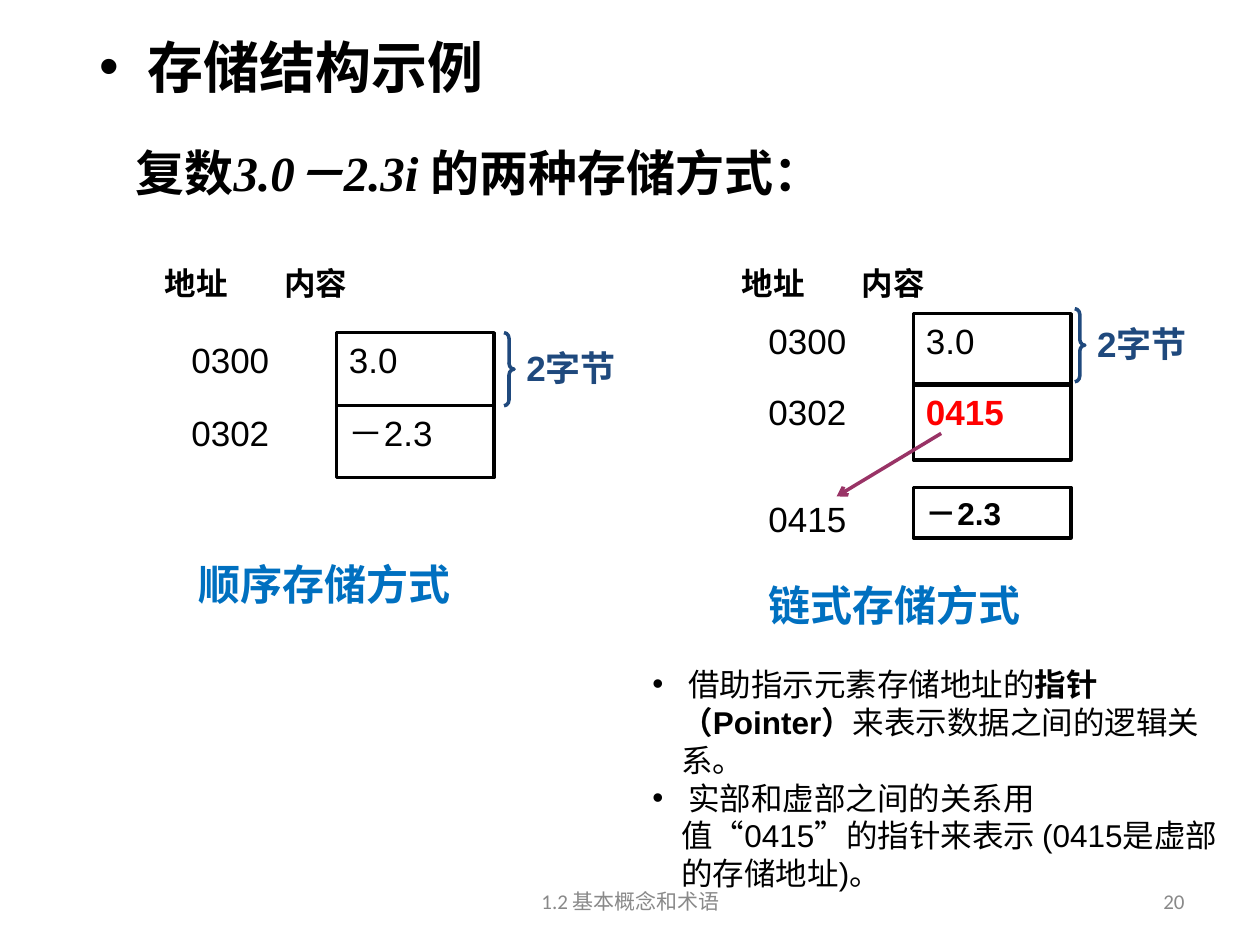
"""Build the slide comparing sequential and linked storage of a complex number."""
from pptx import Presentation
from pptx.dml.color import RGBColor
from pptx.enum.shapes import MSO_CONNECTOR, MSO_SHAPE
from pptx.enum.text import MSO_ANCHOR, MSO_AUTO_SIZE, PP_ALIGN
from pptx.oxml.ns import qn
from pptx.util import Inches, Pt
from lxml.etree import SubElement

BLACK = RGBColor(0x00, 0x00, 0x00)
GREY = RGBColor(0x89, 0x89, 0x89)
RED = RGBColor(0xFF, 0x00, 0x00)
BLUE = RGBColor(0x00, 0x70, 0xC0)
NAVY = RGBColor(0x1F, 0x49, 0x7D)
PLUM = RGBColor(0x99, 0x33, 0x66)
HAN = "Noto Sans CJK SC"


def write(shape, parts, size, color=BLACK, bold=False, font="Arial",
          align=PP_ALIGN.LEFT, anchor=MSO_ANCHOR.TOP):
    """Fill a shape with paragraphs, each a list of (text, bold) runs."""
    frame = shape.text_frame
    frame.word_wrap = True
    frame.auto_size = MSO_AUTO_SIZE.NONE
    frame.vertical_anchor = anchor
    if isinstance(parts, str):
        parts = [[(parts, bold)]]
    for i, runs in enumerate(parts):
        para = frame.add_paragraph() if i else frame.paragraphs[0]
        para.alignment = align
        for text, heavy in runs:
            run = para.add_run()
            run.text = text
            run.font.size = Pt(size)
            run.font.bold = heavy
            run.font.name = font
            run.font.color.rgb = color
            SubElement(run.font._element, qn("a:ea"), typeface=HAN)
    return frame


def bullet(para, indent):
    """Give a paragraph a black round bullet with a hanging indent."""
    props = para._p.get_or_add_pPr()
    props.set("marL", str(Inches(indent)))
    props.set("indent", str(-Inches(indent)))
    SubElement(SubElement(props, qn("a:buClr")), qn("a:srgbClr"), val=str(BLACK))
    SubElement(props, qn("a:buFont"), typeface="Arial")
    SubElement(props, qn("a:buChar"), char="•")


deck = Presentation()
deck.slide_width, deck.slide_height = Inches(10), Inches(7.5)
slide = deck.slides.add_slide(deck.slide_layouts[5])
shapes = slide.shapes

title = shapes.title
title.left, title.top = Inches(0.69), Inches(0.21)
title.width, title.height = Inches(8.79), Inches(0.57)
frame = write(title, "存储结构示例", 32, bold=True, font="Calibri")
bullet(frame.paragraphs[0], 0.38)

box = shapes.add_textbox(Inches(0.98), Inches(1.08), Inches(8.32), Inches(0.57))
intro = [("复数", True), ("3.0－2.3i ", True), ("的两种存储方式：", True)]
frame = write(box, [intro], 28, font=HAN)
value = frame.paragraphs[0].runs[1]
value.font.name = "Times New Roman"
value.font.italic = True

for left in (1.21, 5.79):
    box = shapes.add_textbox(Inches(left), Inches(2.05), Inches(2.7), Inches(0.4))
    para = write(box, "地址\t内容", 18, bold=True).paragraphs[0]
    tabs = SubElement(para._p.get_or_add_pPr(), qn("a:tabLst"))
    SubElement(tabs, qn("a:tab"), pos=str(Inches(0.95)), algn="l")

cells = [
    (1.42, 2.64, 0.58, "0300", "3.0", 20, BLACK, False),
    (1.42, 3.22, 0.57, "0302", "－2.3", 20, BLACK, False),
    (6, 2.49, 0.57, "0300", "3.0", 20, BLACK, False),
    (6, 3.05, 0.6, "0302", "0415", 20, RED, True),
    (6, 3.87, 0.4, "0415", "－2.3", 18, BLACK, True),
]
for left, top, height, address, content, size, color, bold in cells:
    drop = 0.03 if address == "0415" else 0
    box = shapes.add_textbox(Inches(left), Inches(top + drop), Inches(1.25), Inches(height))
    write(box, address, 20)
    cell = shapes.add_shape(MSO_SHAPE.RECTANGLE, Inches(left + 1.25), Inches(top),
                            Inches(1.25), Inches(height))
    cell.shadow.inherit = False
    cell.fill.background()
    cell.line.color.rgb = BLACK
    cell.line.width = Pt(2)
    write(cell, content, size, color, bold)

for left, top in ((4, 2.64), (8.53, 2.45)):
    brace = shapes.add_shape(MSO_SHAPE.RIGHT_BRACE, Inches(left), Inches(top),
                             Inches(0.08), Inches(0.58))
    brace.adjustments[0] = 0.58
    brace.shadow.inherit = False
    brace.fill.background()
    brace.line.color.rgb = NAVY
    brace.line.width = Pt(2)
    box = shapes.add_textbox(Inches(left + 0.08), Inches(top - 0.04), Inches(1), Inches(0.54))
    frame = write(box, "2字节", 20, NAVY, True, align=PP_ALIGN.JUSTIFY)
    frame.paragraphs[0].line_spacing = 1.3

arrow = shapes.add_connector(MSO_CONNECTOR.STRAIGHT, Inches(7.47), Inches(3.44),
                             Inches(6.64), Inches(3.94))
arrow.line.color.rgb = PLUM
arrow.line.width = Pt(2)
SubElement(arrow.line._get_or_add_ln(), qn("a:tailEnd"), type="arrow")
SubElement(arrow._element.spPr, qn("a:effectLst"))

for left, top, text in ((1.48, 4.38, "顺序存储方式"), (6, 4.55, "链式存储方式")):
    box = shapes.add_textbox(Inches(left), Inches(top), Inches(2.92), Inches(0.5))
    write(box, text, 24, BLUE, True)

notes = [
    [(" 借助指示元素存储地址的", False), ("指针 （Pointer）", True),
     ("来表示数据之间的逻辑关系。", False)],
    [(" 实部和虚部之间的关系用值“0415”的指针来表示 (0415是虚部的存储地址)。", False)],
]
box = shapes.add_textbox(Inches(5.08), Inches(5.23), Inches(4.69), Inches(1.6))
for para in write(box, notes, 18).paragraphs:
    bullet(para, 0.23)

for left, width, text, align in ((3.42, 3.17, "1.2 基本概念和术语", PP_ALIGN.CENTER),
                                 (7.17, 2.33, "20", PP_ALIGN.RIGHT)):
    box = shapes.add_textbox(Inches(left), Inches(6.95), Inches(width), Inches(0.4))
    write(box, text, 12, GREY, font="Calibri", align=align, anchor=MSO_ANCHOR.MIDDLE)

deck.save("out.pptx")
